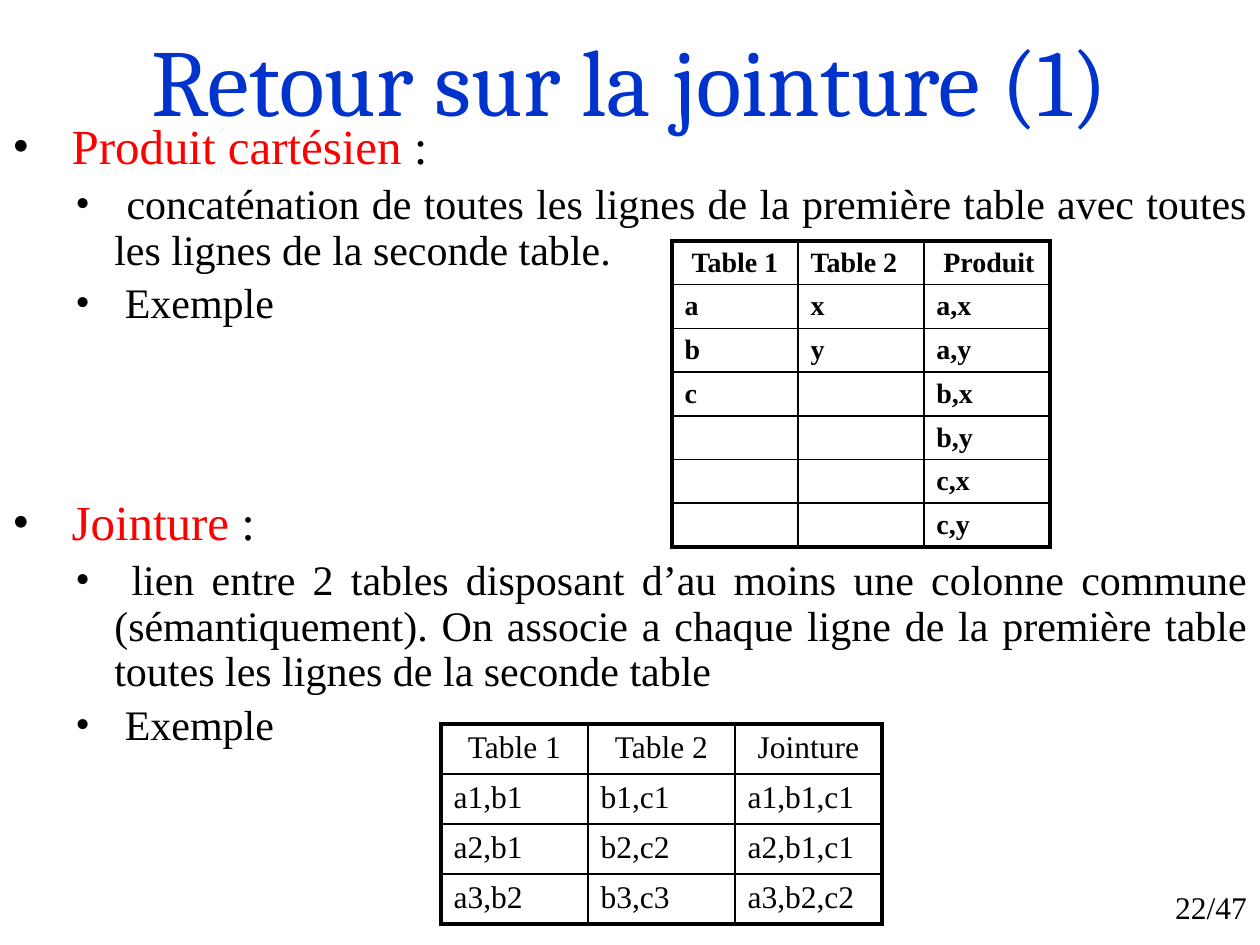
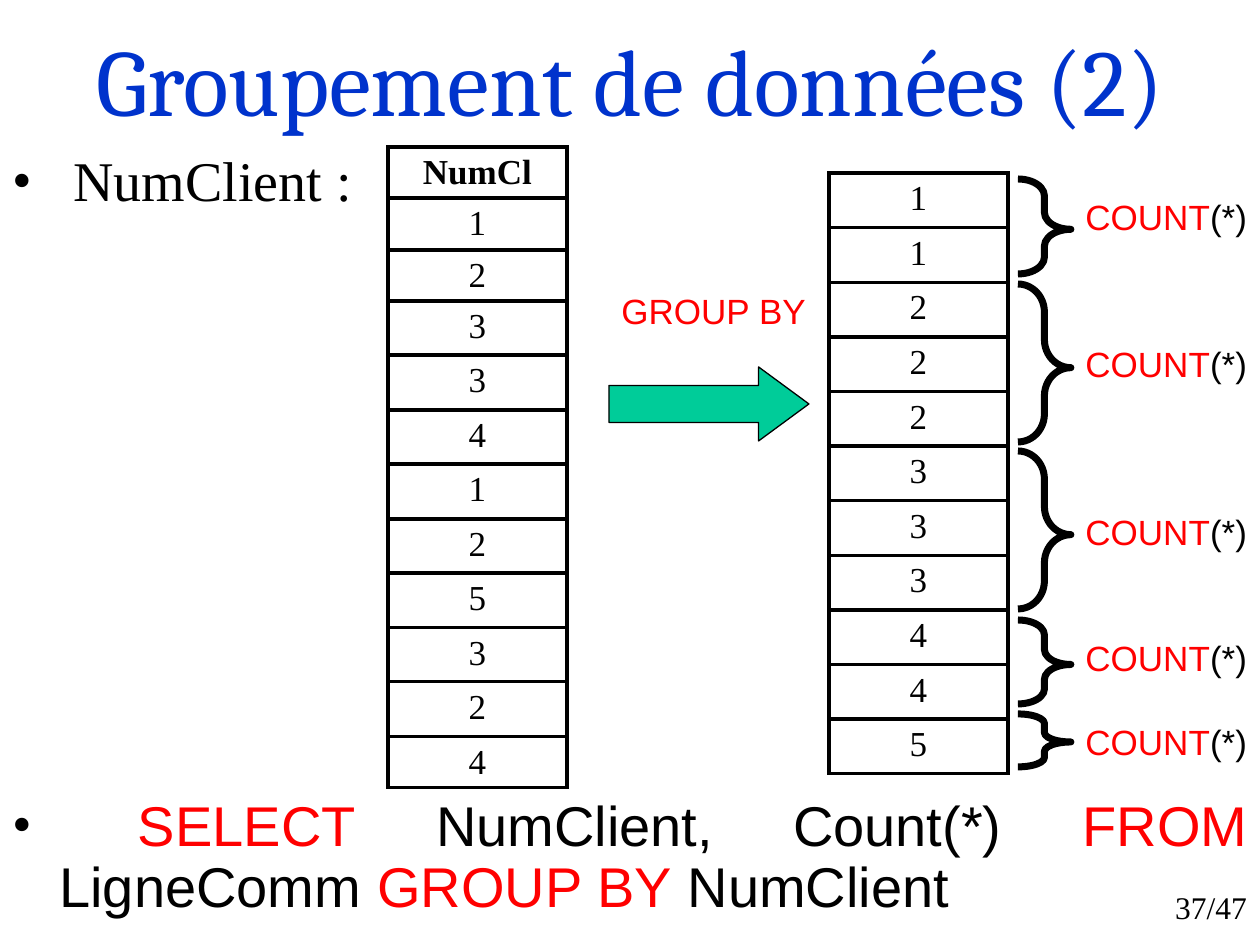
import pptx
import pptx.util
import pptx.dml.color
import pptx.enum.shapes
import pptx.enum.text
import pptx.oxml.ns
from lxml import etree

PX = 914400 // 126
W, H = 1260, 945
BLACK, RED, BLUE, GREEN = "000000", "FF0000", "0033CC", "00CC99"
SERIF, SANS, TITLE_FONT = "Times New Roman", "Arial", "Cambria"
THICK, THIN = 2.25, 1
ALIGN = pptx.enum.text.PP_ALIGN
ANCHOR = pptx.enum.text.MSO_ANCHOR
SHAPE = pptx.enum.shapes.MSO_SHAPE
# Left margin and hanging indent of each bullet level
INDENTS = [(47, 47), (102, 39)]


def px(n):
    return pptx.util.Emu(round(n * PX))


def box_px(box):
    return [px(n) for n in box]


def rgb(color):
    return pptx.dml.color.RGBColor.from_string(color)


def sub(parent, tag, **attrs):
    return etree.SubElement(parent, pptx.oxml.ns.qn(tag), **attrs)


def write(p, text, size=18, font=SERIF, color=BLACK, bold=False, align=None):
    """Fill a paragraph with a string, or with (text, color[, font]) runs."""
    p.alignment = align
    runs = [(text, color)] if isinstance(text, str) else text
    for words, shade, *face in runs:
        r = p.add_run()
        r.text = words
        r.font.size = pptx.util.Pt(size)
        r.font.name = face[0] if face else font
        r.font.bold = bold
        r.font.color.rgb = rgb(shade)


def add_text(slide, box, text, right_inset=13, anchor=ANCHOR.TOP, **fmt):
    tf = slide.shapes.add_textbox(*box_px(box)).text_frame
    tf.word_wrap = True
    tf.margin_right = px(right_inset)
    tf.vertical_anchor = anchor
    write(tf.paragraphs[0], text, **fmt)


def add_bullets(slide, box, items):
    """Each item is (level, size, text)."""
    tf = slide.shapes.add_textbox(*box_px(box)).text_frame
    tf.word_wrap = True
    for i, (level, size, text) in enumerate(items):
        p = tf.add_paragraph() if i else tf.paragraphs[0]
        p.level = level
        p.line_spacing = 0.9
        p.space_before = pptx.util.Pt(size * 0.2)
        write(p, text, size=size, align=ALIGN.JUSTIFY)
        left, hang = INDENTS[level]
        pPr = p._p.get_or_add_pPr()
        pPr.set("marL", str(px(left)))
        pPr.set("indent", str(-px(hang)))
        sub(pPr, "a:buFont", typeface=SERIF)
        sub(pPr, "a:buChar", char="•")


def set_borders(cell, widths):
    tcPr = cell._tc.get_or_add_tcPr()
    for i, (side, width) in enumerate(zip("LRTB", widths)):
        ln = etree.Element(pptx.oxml.ns.qn("a:ln" + side), w=str(pptx.util.Pt(width)))
        sub(sub(ln, "a:solidFill"), "a:srgbClr", val=BLACK)
        tcPr.insert(i, ln)


def add_grid(slide, left, top, col_width, heights, rows, head_aligns, align,
             size, inner=THIN, bold=False, head_bold=False):
    """Table with a thick frame; the first row has its own alignments."""
    n_rows, n_cols = len(rows), len(rows[0])
    box = (left, top, col_width * n_cols, sum(heights))
    table = slide.shapes.add_table(n_rows, n_cols, *box_px(box)).table
    table.first_row = table.horz_banding = False
    for column in table.columns:
        column.width = px(col_width)
    for i, (row, height) in enumerate(zip(rows, heights)):
        table.rows[i].height = px(height)
        for j, text in enumerate(row):
            cell = table.cell(i, j)
            cell.fill.background()
            # No bottom margin, so that rows keep their set height
            cell.margin_bottom = 0
            p = cell.text_frame.paragraphs[0]
            if text:
                write(p, text, size=size, bold=bold or (head_bold and i == 0),
                      align=align if i else head_aligns[j])
            else:
                sub(p._p, "a:endParaRPr", sz=str(size * 100))
            edges = (j == 0, j == n_cols - 1, i == 0, i == n_rows - 1)
            set_borders(cell, [THICK if edge else inner for edge in edges])


def add_preset(slide, kind, box, adjustments, line, fill=None):
    sp = slide.shapes.add_shape(kind, *box_px(box))
    sp.shadow.inherit = False
    for i, value in enumerate(adjustments):
        sp.adjustments[i] = value
    if fill:
        sp.fill.solid()
        sp.fill.fore_color.rgb = rgb(fill)
    else:
        sp.fill.background()
    sp.line.color.rgb = rgb(BLACK)
    sp.line.width = pptx.util.Pt(line)


def new_slide(prs, title, number):
    slide = prs.slides.add_slide(prs.slide_layouts[6])
    add_text(slide, (0, 0, W, 158), title, anchor=ANCHOR.MIDDLE, size=54,
             font=TITLE_FONT, color=BLUE, align=ALIGN.CENTER)
    add_text(slide, (1144, 882, 116, 63), f"{number}/47", align=ALIGN.RIGHT)
    return slide


def definition(slide, top, term, meaning):
    """A red term, its meaning and the lead-in to an example."""
    add_bullets(slide, (0, top, W, 260), [
        (0, 28, [(" ", BLACK), (term, RED), (" :", BLACK)]),
        (1, 24, " " + meaning),
        (1, 24, " Exemple"),
    ])


def join_slide(prs):
    slide = new_slide(prs, "Retour sur la jointure (1)", 22)
    definition(slide, 116, "Produit cartésien",
               "concaténation de toutes les lignes de la première table avec "
               "toutes les lignes de la seconde table.")
    definition(slide, 492, "Jointure",
               "lien entre 2 tables disposant d’au moins une colonne commune "
               "(sémantiquement). On associe a chaque ligne de la première "
               "table toutes les lignes de la seconde table")
    # Cartesian product
    firsts, seconds = "abc", "xy"
    pairs = [f"{a},{x}" for a in firsts for x in seconds]
    product = [("Table 1", "Table 2", " Produit")]
    product += [(firsts[i:i + 1], seconds[i:i + 1], pair)
                for i, pair in enumerate(pairs)]
    add_grid(slide, 672, 241, 126, [306 / 7] * 7, product,
             [ALIGN.CENTER, ALIGN.JUSTIFY, ALIGN.JUSTIFY], ALIGN.JUSTIFY,
             size=16, bold=True)
    # Join
    join = [("Table 1", "Table 2", "Jointure"),
            ("a1,b1", "b1,c1", "a1,b1,c1"),
            ("a2,b1", "b2,c2", "a2,b1,c1"),
            ("a3,b2", "b3,c3", "a3,b2,c2")]
    add_grid(slide, 441, 724, 147, [50] * 4, join, [ALIGN.CENTER] * 3,
             ALIGN.JUSTIFY, size=18)


def number_column(slide, left, top, heights, values, **fmt):
    add_grid(slide, left, top, 179, heights, [[v] for v in values],
             [ALIGN.CENTER], ALIGN.CENTER, size=20, inner=THICK, **fmt)


def group_arrow(slide, left, top):
    add_preset(slide, SHAPE.RIGHT_ARROW, (left, top + 84, 200, 74),
               [0.5, 0.68], line=0.75, fill=GREEN)
    add_text(slide, (left, top, 210, 54), "GROUP BY", right_inset=0, size=20,
             font=SANS, color=RED)


def count_group(slide, left, top, height, label_top):
    """Brace over one group of rows, with its count."""
    add_preset(slide, SHAPE.RIGHT_BRACE, (left, top, 53, height),
               [height / 299, 0.53], line=4)
    add_text(slide, (left + 55, label_top, 186, 54),
             [("COUNT", RED), ("(*)", BLACK)], right_inset=0, size=20,
             font=SANS)


def grouping_slide(prs):
    slide = new_slide(prs, "Groupement de données (2)", 37)
    add_bullets(slide, (0, 147, 380, 80), [(0, 32, " NumClient :")])
    add_bullets(slide, (0, 792, W, 153), [(0, 32, [
        (" ", BLACK),
        ("SELECT", RED, SANS), (" NumClient, Count(*) ", BLACK, SANS),
        ("FROM", RED, SANS), (" LigneComm ", BLACK, SANS),
        ("GROUP BY", RED, SANS), (" NumClient", BLACK, SANS)])])
    # Rows before and after grouping
    clients = "12334125324"
    number_column(slide, 388, 147, [51, 52, 51] + [54, 55] * 4 + [51],
                  ["NumCl", *clients], head_bold=True)
    number_column(slide, 829, 173, [601 / 11] * 11, "11222333445")
    group_arrow(slide, 609, 283)
    # Brace top, brace height, label top
    for top, height, label_top in [(179, 95, 189), (284, 158, 336),
                                   (451, 158, 504), (620, 84, 630),
                                   (714, 53, 714)]:
        count_group(slide, 1018, top, height, label_top)


def main():
    prs = pptx.Presentation()
    prs.slide_width, prs.slide_height = px(W), px(H)
    join_slide(prs)
    grouping_slide(prs)
    prs.save("out.pptx")


if __name__ == "__main__":
    main()
